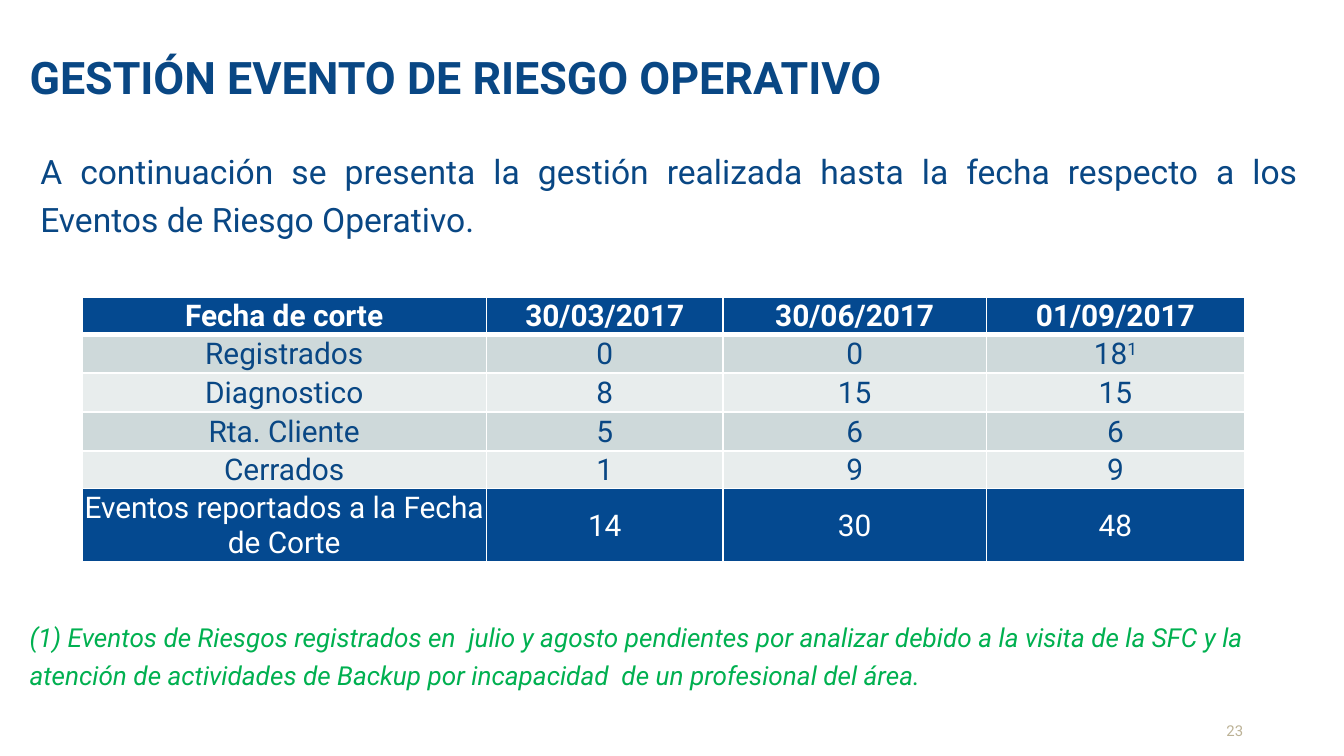
import pptx
import pptx.dml.color
import pptx.enum.text
import pptx.oxml.ns
import pptx.util
from lxml import etree
from pptx.util import Inches

RGBColor = pptx.dml.color.RGBColor
Align = pptx.enum.text.PP_ALIGN
Anchor = pptx.enum.text.MSO_ANCHOR

NAVY = RGBColor(0x09, 0x47, 0x84)
BLUE = RGBColor(0x04, 0x49, 0x90)
GREEN = RGBColor(0x00, 0xB0, 0x50)
SAND = RGBColor(0xBC, 0xB2, 0x96)
WHITE = RGBColor(0xFF, 0xFF, 0xFF)
BANDS = (RGBColor(0xCE, 0xD9, 0xDA), RGBColor(0xE8, 0xED, 0xED))

ROWS = (
    ("Fecha de corte", "30/03/2017", "30/06/2017", "01/09/2017"),
    ("Registrados", "0", "0", "18"),
    ("Diagnostico", "8", "15", "15"),
    ("Rta. Cliente", "5", "6", "6"),
    ("Cerrados", "1", "9", "9"),
    ("Eventos reportados a la Fecha de Corte", "14", "30", "48"),
)
FOOTNOTE_MARKS = {(1, 3): "1"}
COLUMN_WIDTHS = (3.01, 1.76, 1.96, 1.92)
ROW_HEIGHTS = (0.26, 0.29, 0.29, 0.29, 0.28, 0.52)


def write_text(frame, text, size, color, bold=False, italic=False,
               align=Align.LEFT, spacing=1.0, anchor=Anchor.TOP):
    """Fill a text frame with one formatted paragraph."""
    frame.word_wrap = True
    frame.vertical_anchor = anchor
    frame.margin_left = frame.margin_right = 0
    frame.margin_top = frame.margin_bottom = 0
    paragraph = frame.paragraphs[0]
    paragraph.alignment = align
    paragraph.line_spacing = spacing
    add_run(paragraph, text, size, color, bold, italic)


def add_run(paragraph, text, size, color, bold=False, italic=False):
    """Append a formatted run to a paragraph and return it."""
    run = paragraph.add_run()
    run.text = text
    font = run.font
    font.name = "Roboto"
    font.size = pptx.util.Pt(size)
    font.bold = bold
    font.italic = italic
    font.color.rgb = color
    return run


def add_title(slide, box, text):
    """Move the title placeholder into the box and fill it."""
    title = slide.shapes.title
    title.left, title.top, title.width, title.height = map(Inches, box)
    title.text_frame.auto_size = pptx.enum.text.MSO_AUTO_SIZE.NONE
    write_text(title.text_frame, text, 24, NAVY, bold=True, spacing=0.85)


def add_text(slide, box, text, size, color, **text_format):
    """Add a text box without margins."""
    frame = slide.shapes.add_textbox(*map(Inches, box)).text_frame
    write_text(frame, text, size, color, **text_format)


def set_borders(cell, widths):
    """Draw white cell borders, with widths in points by side."""
    properties = cell._tc.get_or_add_tcPr()
    for side in "LRTB":
        line = etree.SubElement(properties, pptx.oxml.ns.qn("a:ln" + side),
                                w=str(pptx.util.Pt(widths.get(side, 1))))
        fill = etree.SubElement(line, pptx.oxml.ns.qn("a:solidFill"))
        etree.SubElement(fill, pptx.oxml.ns.qn("a:srgbClr"), val=str(WHITE))


def add_event_table(slide, left, top):
    """Add the table of events by cut-off date."""
    graphic_frame = slide.shapes.add_table(
        len(ROWS), len(COLUMN_WIDTHS), Inches(left), Inches(top),
        Inches(sum(COLUMN_WIDTHS)), Inches(sum(ROW_HEIGHTS)))
    table = graphic_frame.table
    for column, width in zip(table.columns, COLUMN_WIDTHS):
        column.width = Inches(width)
    last = len(ROWS) - 1
    for row_index, values in enumerate(ROWS):
        table.rows[row_index].height = Inches(ROW_HEIGHTS[row_index])
        strong = row_index in (0, last)
        color = WHITE if strong else NAVY
        fill = BLUE if strong else BANDS[(row_index - 1) % 2]
        borders = {0: {"B": 3}, 1: {"T": 3}}.get(row_index, {})
        for column_index, value in enumerate(values):
            cell = table.cell(row_index, column_index)
            cell.margin_left = cell.margin_right = Inches(0.01)
            cell.margin_top, cell.margin_bottom = Inches(0.01), 0
            cell.vertical_anchor = Anchor.MIDDLE
            set_borders(cell, borders)
            cell.fill.solid()
            cell.fill.fore_color.rgb = fill
            paragraph = cell.text_frame.paragraphs[0]
            paragraph.alignment = Align.CENTER
            add_run(paragraph, value, 16, color, bold=row_index == 0)
            mark = FOOTNOTE_MARKS.get((row_index, column_index))
            if mark:
                run = add_run(paragraph, mark, 16, color)
                run._r.get_or_add_rPr().set("baseline", "30000")


def build_slide(presentation):
    """Build the slide on operational risk events."""
    slide = presentation.slides.add_slide(presentation.slide_layouts[5])
    add_title(slide, (0.22, 0.43, 7.14, 0.49),
              "GESTIÓN EVENTO DE RIESGO OPERATIVO")
    add_text(slide, (0.3, 1.06, 9.36, 0.69),
             "A continuación se presenta la gestión realizada hasta la fecha "
             "respecto a los Eventos de Riesgo Operativo.",
             18, NAVY, align=Align.JUSTIFY, spacing=1.2)
    add_event_table(slide, 0.61, 2.21)
    add_text(slide, (0.22, 4.58, 9.44, 0.57),
             "(1) Eventos de Riesgos registrados en  julio y agosto pendientes "
             "por analizar debido a la visita de la SFC y la atención de "
             "actividades de Backup por incapacidad  de un profesional del área.",
             14, GREEN, italic=True, spacing=1.2)
    add_text(slide, (8.93, 5.37, 0.32, 0.13), "23", 8, SAND,
             align=Align.RIGHT, anchor=Anchor.BOTTOM)


def main():
    """Create and save the widescreen presentation."""
    presentation = pptx.Presentation()
    presentation.slide_width = Inches(10)
    presentation.slide_height = presentation.slide_width * 9 // 16
    build_slide(presentation)
    presentation.save("out.pptx")


if __name__ == "__main__":
    main()
